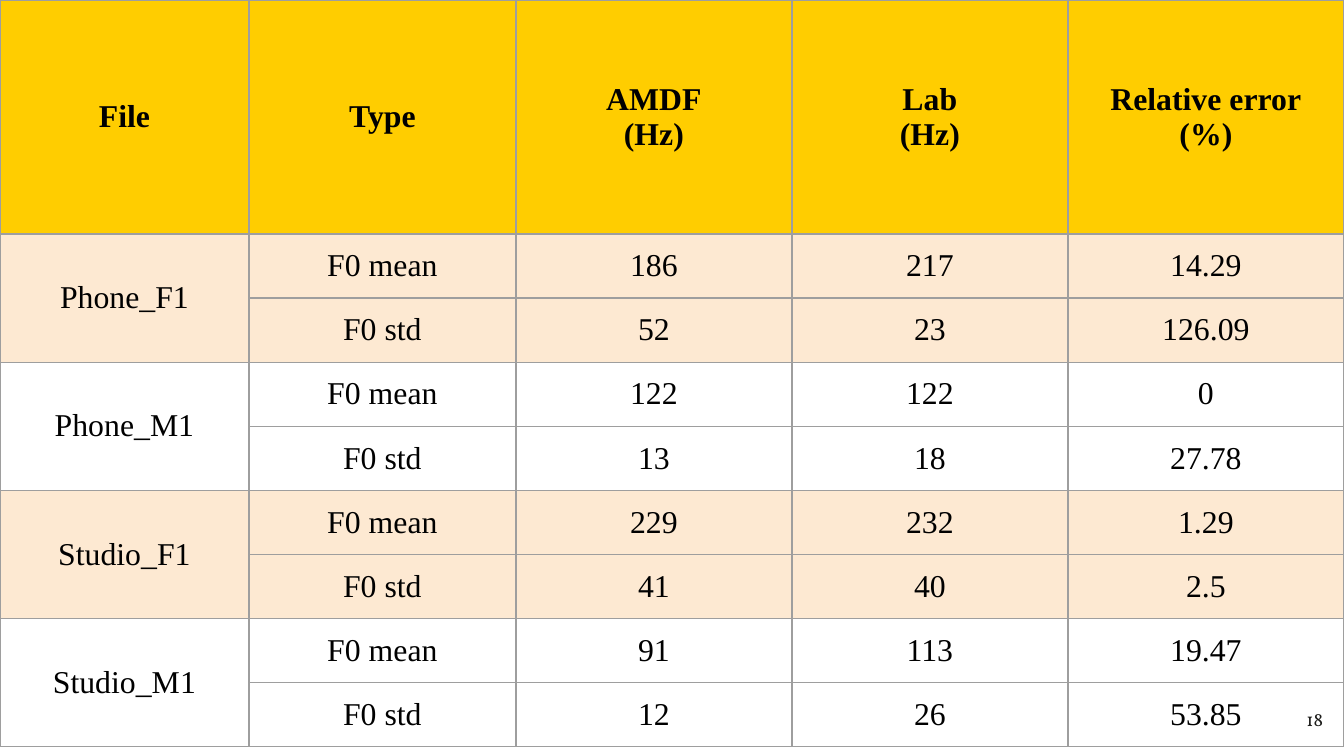
from lxml.etree import SubElement
from pptx import Presentation
from pptx.dml.color import RGBColor
from pptx.enum.text import MSO_ANCHOR, PP_ALIGN
from pptx.oxml.ns import qn
from pptx.util import Pt

PX = 914400 / 134.4
INK, HEADER, BAND, RULE = "000000", "FFCD00", "FDE9D2", "9E9E9E"
MARGINS = ("margin_left", "margin_right", "margin_top", "margin_bottom")
INSET = 13

COLUMNS = [249, 267, 276, 276, 276]
HEADER_HEIGHT, ROW_HEIGHT = 234, 62
HEADINGS = ["File", "Type", "AMDF\n(Hz)", "Lab\n(Hz)", "Relative error\n(%)"]
FILES = {
    "Phone_F1": [("186", "217", "14.29"), ("52", "23", "126.09")],
    "Phone_M1": [("122", "122", "0"), ("13", "18", "27.78")],
    "Studio_F1": [("229", "232", "1.29"), ("41", "40", "2.5")],
    "Studio_M1": [("91", "113", "19.47"), ("12", "26", "53.85")],
}
TYPES = ["F0 mean", "F0 std"]


def px(n):
    return round(n * PX)


def color(hex_value):
    return RGBColor.from_string(hex_value)


def set_attrs(obj, values):
    for name, value in values.items():
        setattr(obj, name, value)


def write(tf, text, align, ink, **font):
    tf.text = text
    for p in tf.paragraphs:
        p.alignment = align
        for r in p.runs:
            set_attrs(r.font, font)
            r.font.color.rgb = color(ink)


def set_borders(cell):
    tc_pr = cell._tc.get_or_add_tcPr()
    for i, side in enumerate(("lnL", "lnR", "lnT", "lnB")):
        ln = SubElement(tc_pr, qn(f"a:{side}"), w=str(Pt(0.75)))
        fill = SubElement(ln, qn("a:solidFill"))
        SubElement(fill, qn("a:srgbClr"), val=RULE)
        tc_pr.insert(i, ln)


def format_cell(cell, text, fill, bold):
    write(cell.text_frame, text, PP_ALIGN.CENTER, INK,
          name="Times New Roman", size=Pt(17), bold=bold)
    set_attrs(cell, dict.fromkeys(MARGINS, px(INSET)))
    cell.vertical_anchor = MSO_ANCHOR.MIDDLE
    if fill:
        cell.fill.solid()
        cell.fill.fore_color.rgb = color(fill)
    else:
        cell.fill.background()
    set_borders(cell)


def add_page_number(s, x, y, w, h, number):
    tf = s.shapes.add_textbox(px(x), px(y), px(w), px(h)).text_frame
    set_attrs(tf, {"word_wrap": True, **dict.fromkeys(MARGINS, px(INSET))})
    write(tf, number, PP_ALIGN.RIGHT, "1D1D1B", name="Vollkorn", size=Pt(10))


def add_results_table(s, x, y):
    # One header row, then a pair of rows per file in alternating bands
    rows = [(HEADINGS, HEADER)]
    for i, (file, pair) in enumerate(FILES.items()):
        band = None if i % 2 else BAND
        for j, values in enumerate(pair):
            rows.append(([file if j == 0 else "", TYPES[j], *values], band))

    heights = [HEADER_HEIGHT] + [ROW_HEIGHT] * (len(rows) - 1)
    table = s.shapes.add_table(len(rows), len(COLUMNS), px(x), px(y),
                               px(sum(COLUMNS)), px(sum(heights))).table
    set_attrs(table, {"first_row": False, "horz_banding": False})
    for column, width in zip(table.columns, COLUMNS):
        column.width = px(width)
    for r, (texts, fill) in enumerate(rows):
        table.rows[r].height = px(heights[r])
        for c, text in enumerate(texts):
            format_cell(table.cell(r, c), text, fill, bold=r == 0)

    # File names span both of their rows
    for r in range(1, len(rows), len(TYPES)):
        table.cell(r, 0).merge(table.cell(r + len(TYPES) - 1, 0))


def main():
    prs = Presentation()
    set_attrs(prs, {"slide_width": px(1344), "slide_height": px(756)})
    s = prs.slides.add_slide(prs.slide_layouts[6])
    add_page_number(s, 1255, 697, 81, 58, "18")
    add_results_table(s, 0, 0)
    prs.save("out.pptx")


if __name__ == "__main__":
    main()
